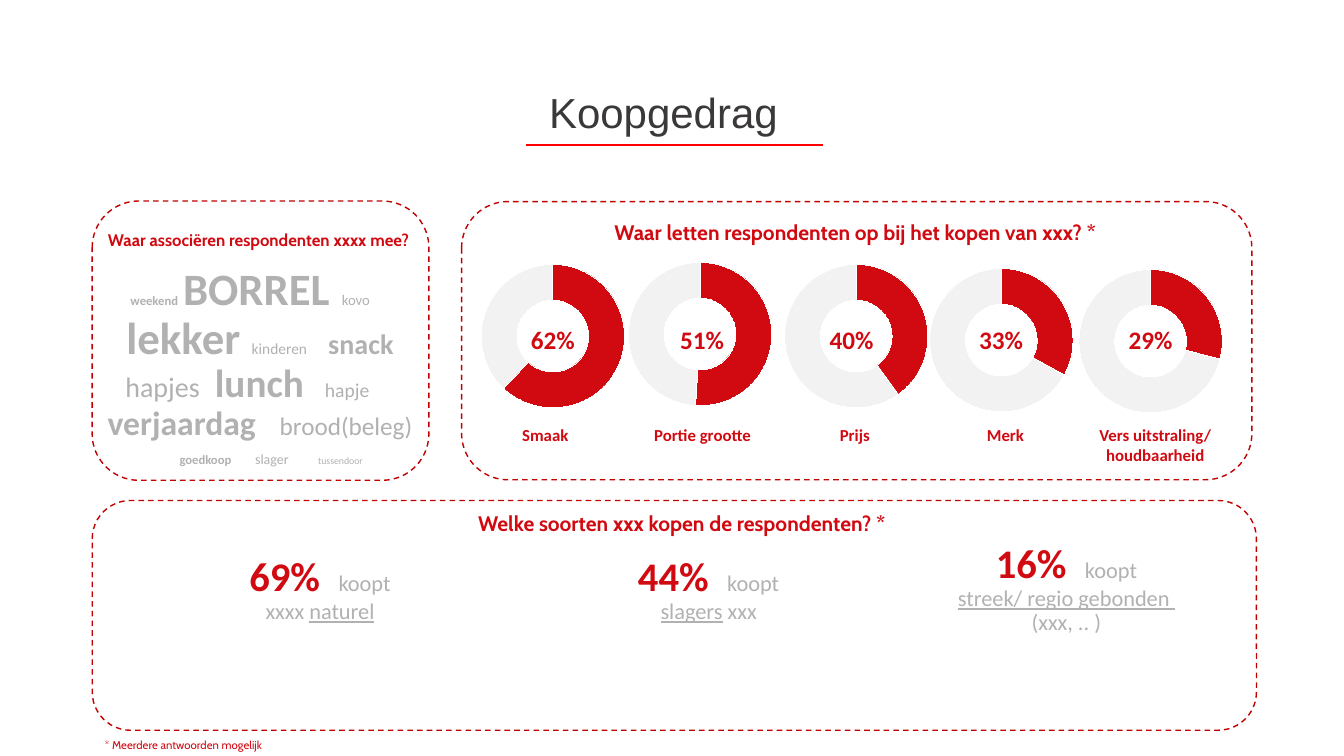
from dataclasses import dataclass

from lxml import etree
from pptx import Presentation
from pptx.chart.data import CategoryChartData
from pptx.dml.color import RGBColor
from pptx.enum.chart import XL_CHART_TYPE
from pptx.enum.dml import MSO_LINE
from pptx.enum.shapes import MSO_CONNECTOR, MSO_SHAPE
from pptx.enum.text import MSO_ANCHOR, PP_ALIGN
from pptx.oxml.ns import qn
from pptx.util import Pt

CENTER, LEFT = PP_ALIGN.CENTER, PP_ALIGN.LEFT
MIDDLE, TOP = MSO_ANCHOR.MIDDLE, MSO_ANCHOR.TOP
DOUGHNUT = XL_CHART_TYPE.DOUGHNUT
ROUNDED = MSO_SHAPE.ROUNDED_RECTANGLE
STRAIGHT = MSO_CONNECTOR.STRAIGHT
DASH = MSO_LINE.DASH


@dataclass(frozen=True)
class Theme:
    red: str = "D10A11"
    frame: str = "C00000"
    rule: str = "FF0000"
    grey: str = "B1B1B1"
    ring: str = "F2F2F2"
    dark: str = "3B3838"
    white: str = "FFFFFF"
    title_font: str = "Arial"
    heading_font: str = "Cabin"
    body_font: str = "Calibri"
    title: float = 30
    heading: float = 15
    small_heading: float = 12
    footnote: float = 8.1
    share: float = 29
    body: float = 16
    value: float = 18
    value_space: float = 20
    label: float = 12
    chart: float = 10


@dataclass(frozen=True)
class Run:
    text: str
    size: float
    bold: bool = False
    color: str = Theme.grey
    font: str = Theme.body_font
    underline: bool = False
    spacing: float = 0


THEME = Theme()
SPACE_WIDTH = 0.226  # width of a Calibri space, in ems


def gap(width, size=9):
    """A single space stretched to the given width."""
    return Run(" ", size, spacing=width - SPACE_WIDTH * size)


def heading(text, size=THEME.heading, bold=True):
    return [[Run(text, size, bold, THEME.red, THEME.heading_font)]]


TITLE = [[Run("Koopgedrag ", THEME.title, False, THEME.dark, THEME.title_font)]]
TITLE_RULE = (375.84, 588.24, 103.68)  # from x, to x, y

# left, top, width, height
FRAMES = [
    (65.88, 143.64, 240.48, 199.44),
    (65.88, 357.48, 831.6, 164.16),
    (329.76, 144, 564.48, 198.72),
]

HEADINGS = [
    (heading("Waar associëren respondenten xxxx mee? ", THEME.small_heading),
     (66.24, 159.12, 239.76, 26.64)),
    (heading("Waar letten respondenten op bij het kopen van xxx? *"),
     (391.68, 151.2, 438.48, 31.68)),
    (heading("Welke soorten xxx kopen de respondenten? *"),
     (267.84, 359.28, 438.48, 31.68)),
]
FOOTNOTE = heading("* Meerdere antwoorden mogelijk", THEME.footnote, False)

WORD_CLOUD = [
    [Run("weekend", 9, True), gap(3.6), Run("BORREL", 32, True), gap(8.6), Run("kovo", 10.5)],
    [Run("lekker", 32, True), gap(8), Run("kinderen", 11), gap(15), Run("snack", 20, True)],
    [Run("hapjes", 20), gap(10.7), Run("lunch", 28, True), gap(15), Run("hapje", 14)],
    [Run("verjaardag", 24, True), gap(17), Run("brood(beleg)", 18)],
    [Run("goedkoop", 9, True), gap(17, 18), Run("slager", 10), gap(21, 18), Run("tussendoor", 7)],
]
CLOUD_MARGINS = [(0, 14), (0, 0), (0, 18), (0, 0), (16, 0)]  # left, right per line

# share, lines of (text, underlined) parts, position
PURCHASES = [
    ("69%", [[("xxxx ", False), ("naturel", True)]], (99.36, 378, 258.48, 87.12)),
    ("44%", [[("slagers", True), (" xxx", False)]], (384.48, 378, 243.36, 87.12)),
    ("16%", [[("streek/ regio gebonden ", True)], [("(xxx, .. )", False)]],
     (655.2, 377.28, 213.12, 87.12)),
]

# value, label lines, chart left, chart top, label centre
CRITERIA = [
    (62, ["Smaak"], 333.36, 160.56, 389.5),
    (51, ["Portie grootte"], 438.48, 159.12, 501.8),
    (40, ["Prijs"], 550.08, 160.56, 610.6),
    (33, ["Merk"], 653.76, 163.44, 718.2),
    (29, ["Vers uitstraling/ ", "houdbaarheid "], 760.32, 164.16, 826.6),
]
CHART_SIZE = (123.12, 159.12)
RING_DIAMETER = 102.5
VALUE_CENTER, VALUE_STEP = 397.1, 106.74
VALUE_TOP, VALUE_SIZE = 226.08, (51.12, 31.68)
LABEL_TOP, LABEL_WIDTH, LABEL_LINE = 299.52, 98, 14.4


def color(value):
    return RGBColor.from_string(value)


def points(box):
    return [Pt(length) for length in box]


def add_text(slide, lines, box, align=CENTER, anchor=MIDDLE, spacing=0.9,
             wrap=True, margins=None):
    frame = slide.shapes.add_textbox(*points(box)).text_frame
    frame.word_wrap = wrap
    frame.vertical_anchor = anchor
    for index, line in enumerate(lines):
        paragraph = frame.add_paragraph() if index else frame.paragraphs[0]
        paragraph.alignment = align
        paragraph.line_spacing = spacing
        if margins:
            properties = paragraph._p.get_or_add_pPr()
            for name, margin in zip(("marL", "marR"), margins[index]):
                properties.set(name, str(Pt(margin)))
        for part in line:
            run = paragraph.add_run()
            run.text = part.text
            run.font.name = part.font
            run.font.size = Pt(part.size)
            run.font.bold = part.bold
            run.font.underline = part.underline
            run.font.color.rgb = color(part.color)
            if part.spacing:
                run._r.get_or_add_rPr().set("spc", str(round(part.spacing * 100)))


def add_frame(slide, box):
    shape = slide.shapes.add_shape(ROUNDED, *points(box))
    shape.shadow.inherit = False
    shape.fill.background()
    shape.line.color.rgb = color(THEME.frame)
    shape.line.width = Pt(1)
    shape.line.dash_style = DASH


def add_title_rule(slide):
    start, end, y = TITLE_RULE
    rule = slide.shapes.add_connector(STRAIGHT, *points((start, y, end, y)))
    rule.line.color.rgb = color(THEME.rule)
    rule.line.width = Pt(1.5)
    etree.SubElement(rule._element.spPr, qn("a:effectLst"))


def center_ring(chart):
    """Fix the ring's diameter and place it in the middle of the chart."""
    plot_area = chart._chartSpace.chart.plotArea
    for old_layout in plot_area.findall(qn("c:layout")):
        plot_area.remove(old_layout)
    layout = etree.Element(qn("c:layout"))
    plot_area.insert(0, layout)
    manual = etree.SubElement(layout, qn("c:manualLayout"))
    width, height = (RING_DIAMETER / side for side in CHART_SIZE)
    settings = [("layoutTarget", "inner"), ("xMode", "edge"), ("yMode", "edge"),
                ("x", (1 - width) / 2), ("y", (1 - height) / 2), ("w", width), ("h", height)]
    for name, value in settings:
        etree.SubElement(manual, qn("c:" + name)).set("val", str(value))
    plot_area.find(".//" + qn("c:holeSize")).set("val", "75")


def add_ring(slide, value, left, top):
    data = CategoryChartData()
    data.categories = ["1", "2"]
    data.add_series("Series 1", (value, 100 - value))
    chart = slide.shapes.add_chart(DOUGHNUT, *points((left, top, *CHART_SIZE)), data).chart
    chart.has_legend = False
    chart.has_title = False
    chart.font.name = THEME.body_font
    chart.font.size = Pt(THEME.chart)
    chart.plots[0].vary_by_categories = True
    for index, fill in enumerate((THEME.red, THEME.ring)):
        form = chart.plots[0].series[0].points[index].format
        form.fill.solid()
        form.fill.fore_color.rgb = color(fill)
        form.line.color.rgb = color(THEME.white)
    center_ring(chart)


def add_criterion(slide, index, criterion):
    value, label, left, top, label_center = criterion
    add_ring(slide, value, left, top)
    value_left = VALUE_CENTER + index * VALUE_STEP - VALUE_SIZE[0] / 2
    add_text(slide, [[Run(f"{value}%", THEME.value, True, THEME.red), Run(" ", THEME.value_space)]],
             (value_left, VALUE_TOP, *VALUE_SIZE), anchor=TOP, spacing=1, wrap=False)
    add_text(slide, [[Run(line, THEME.label, True, THEME.red)] for line in label],
             (label_center - LABEL_WIDTH / 2, LABEL_TOP, LABEL_WIDTH, 7.2 + LABEL_LINE * len(label)),
             anchor=TOP, spacing=1, wrap=False)


def add_purchase(slide, share, lines, box):
    first = [Run(share, THEME.share, True, THEME.red), gap(13.1, THEME.share), Run("koopt", THEME.body)]
    rest = [[Run(text, THEME.body, underline=under) for text, under in line] for line in lines]
    add_text(slide, [first, *rest], box)


def main():
    presentation = Presentation()
    presentation.slide_width, presentation.slide_height = Pt(960), Pt(540)
    slide = presentation.slides.add_slide(presentation.slide_layouts[6])
    add_title_rule(slide)
    add_text(slide, TITLE, (66.24, 54, 823.68, 56.16))
    for box in FRAMES:
        add_frame(slide, box)
    for lines, box in HEADINGS:
        add_text(slide, lines, box)
    add_text(slide, WORD_CLOUD, (69.12, 219.6, 233.28, 87.12), margins=CLOUD_MARGINS)
    for index, criterion in enumerate(CRITERIA):
        add_criterion(slide, index, criterion)
    for purchase in PURCHASES:
        add_purchase(slide, *purchase)
    add_text(slide, FOOTNOTE, (67.68, 526.32, 438.48, 14.4), align=LEFT, spacing=0.7)
    presentation.save("out.pptx")


if __name__ == "__main__":
    main()
